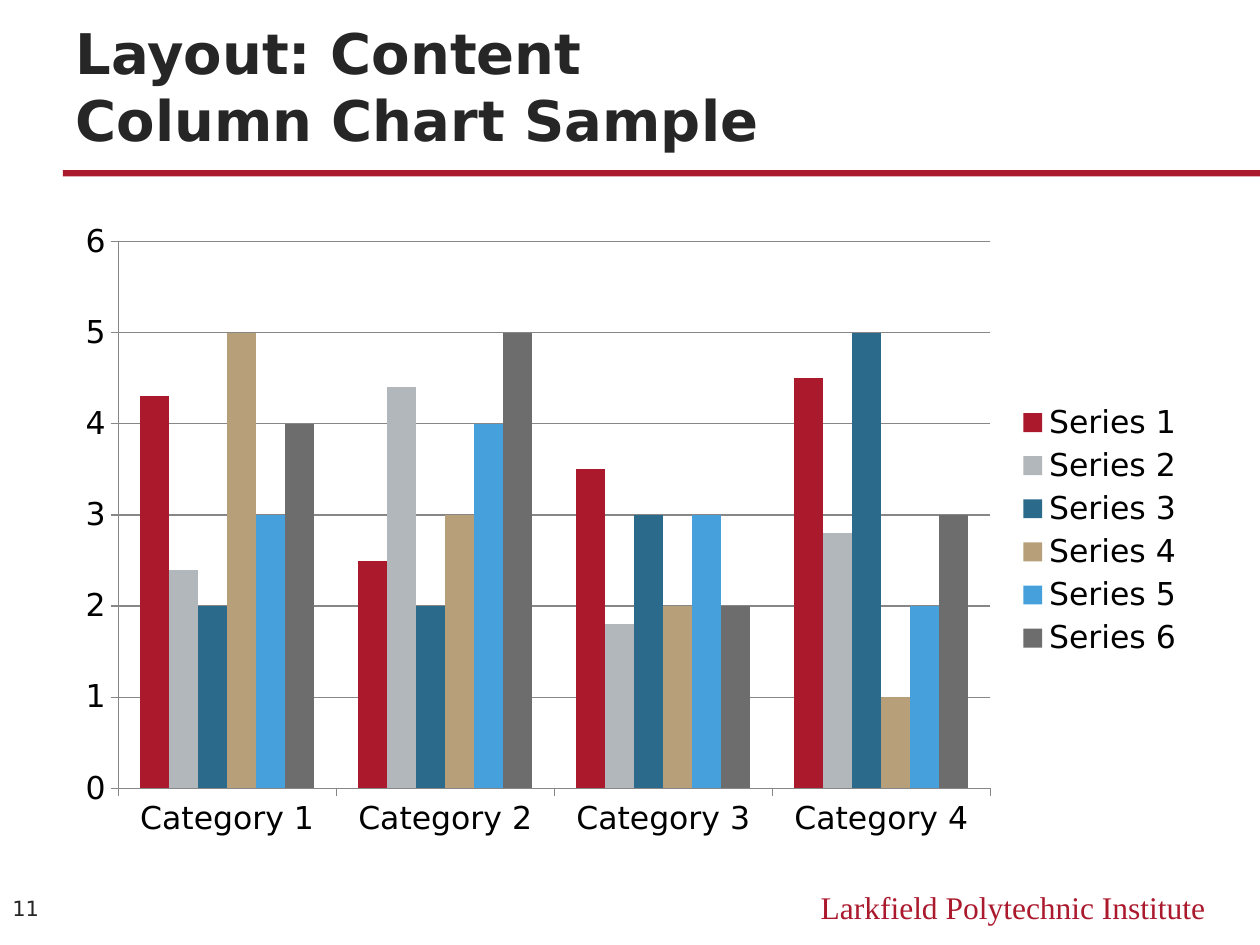
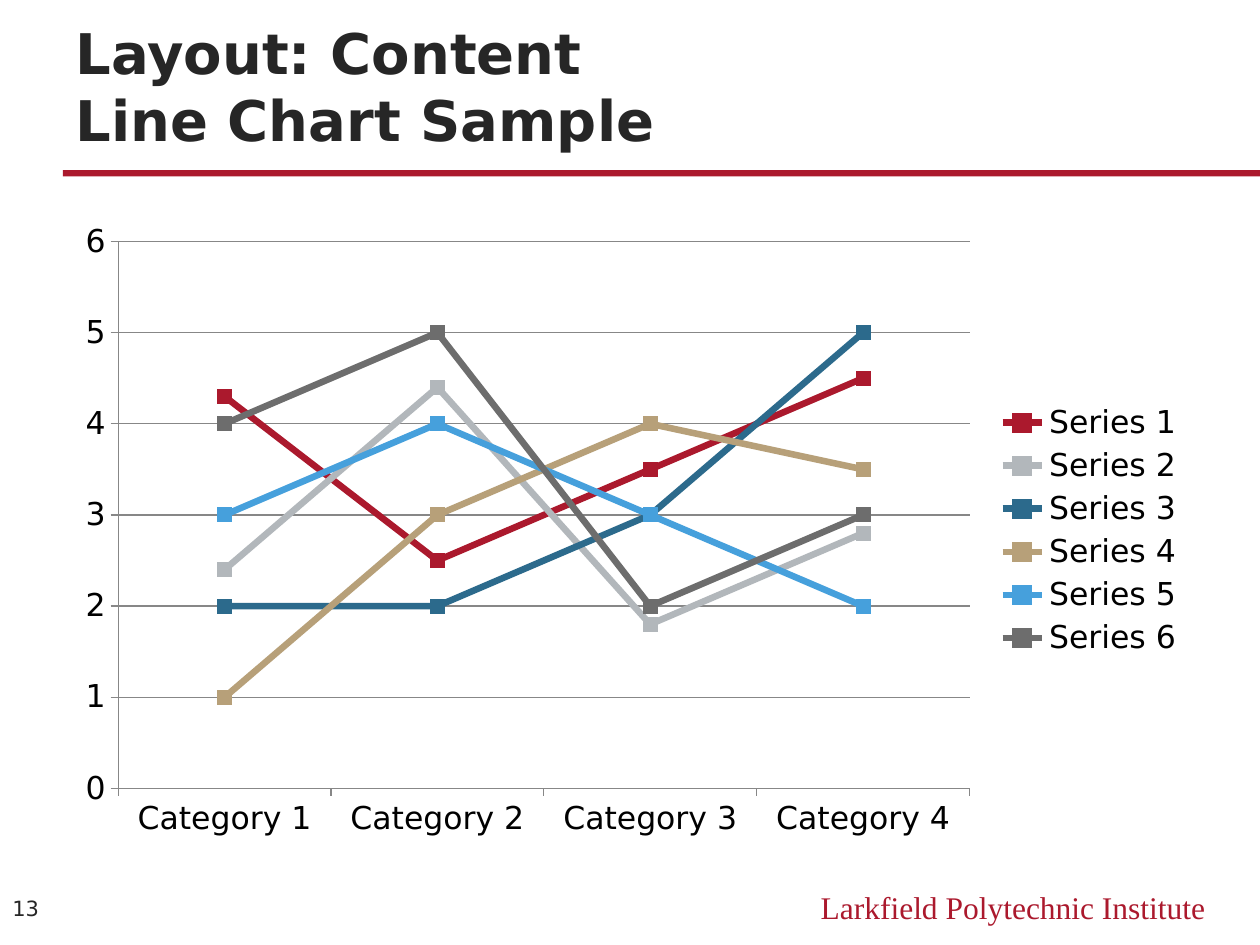
"""Build two chart sample slides that share a title style, a rule and a footer."""
import pptx
import pptx.chart.data
import pptx.dml.color
import pptx.enum.chart
import pptx.enum.shapes
import pptx.enum.text
import pptx.util

Pt = pptx.util.Pt
RGBColor = pptx.dml.color.RGBColor
ChartType = pptx.enum.chart.XL_CHART_TYPE
Align = pptx.enum.text.PP_ALIGN
Anchor = pptx.enum.text.MSO_ANCHOR
AutoSize = pptx.enum.text.MSO_AUTO_SIZE

CRIMSON = RGBColor(0xAB, 0x19, 0x2D)
SILVER = RGBColor(0xB2, 0xB7, 0xBB)
TEAL = RGBColor(0x2C, 0x6A, 0x8C)
TAN = RGBColor(0xB7, 0xA0, 0x79)
SKY = RGBColor(0x46, 0xA0, 0xDC)
SLATE = RGBColor(0x6D, 0x6D, 0x6D)
INK = RGBColor(0x26, 0x26, 0x26)
BLACK = RGBColor(0, 0, 0)
GRID_GRAY = RGBColor(0x87, 0x87, 0x87)
SERIES_COLORS = (CRIMSON, SILVER, TEAL, TAN, SKY, SLATE)

SANS = "DejaVu Sans"
SERIF = "Times New Roman"
INSTITUTE = "Larkfield Polytechnic Institute"

CATEGORIES = [f"Category {n}" for n in range(1, 5)]
COLUMN_VALUES = [
    (4.3, 2.5, 3.5, 4.5),
    (2.4, 4.4, 1.8, 2.8),
    (2, 2, 3, 5),
    (5, 3, 2, 1),
    (3, 4, 3, 2),
    (4, 5, 2, 3),
]
LINE_VALUES = COLUMN_VALUES[:3] + [(1, 3, 4, 3.5)] + COLUMN_VALUES[4:]


def write(shape, text, size=18, font=SANS, color=INK, bold=False,
          align=Align.LEFT, anchor=Anchor.TOP, auto_size=AutoSize.NONE):
    """Put formatted text into a shape."""
    frame = shape.text_frame
    frame.word_wrap = True
    frame.auto_size = auto_size
    frame.vertical_anchor = anchor
    paragraph = frame.paragraphs[0]
    paragraph.text = text
    paragraph.alignment = align
    for run in paragraph.runs:
        run.font.size = Pt(size)
        run.font.name = font
        run.font.bold = bold
        run.font.color.rgb = color


class ChartDeck:
    """Hold the presentation, its style and the current slide."""

    def __init__(self):
        """Start an empty 10 by 7.5 inch presentation."""
        self.presentation = pptx.Presentation()
        self.presentation.slide_width = Pt(720)
        self.presentation.slide_height = Pt(540)
        self.slide = None

    def start_slide(self, heading, number):
        """Add a slide with its title, rule, footer and page number."""
        layout = self.presentation.slide_layouts.get_by_name("Title Only")
        self.slide = self.presentation.slides.add_slide(layout)
        self.rule(36, 97.2, 684, 3.6)
        self.label(INSTITUTE, 432, 504, 264, 28.8, font=SERIF, color=CRIMSON,
                   align=Align.RIGHT, auto_size=AutoSize.SHAPE_TO_FIT_TEXT)
        self.title(heading)
        self.label(str(number), 0, 503.3, 36, 31, size=12, anchor=Anchor.MIDDLE)

    def title(self, heading):
        """Place and format the title placeholder."""
        title = self.slide.shapes.title
        title.left, title.top = Pt(36), Pt(27.4)
        title.width, title.height = Pt(648), Pt(63.4)
        write(title, heading, size=32, bold=True, anchor=Anchor.BOTTOM)

    def rule(self, left, top, width, height):
        """Draw a solid band."""
        band = self.slide.shapes.add_shape(
            pptx.enum.shapes.MSO_SHAPE.RECTANGLE,
            Pt(left), Pt(top), Pt(width), Pt(height))
        band.shadow.inherit = False
        band.fill.solid()
        band.fill.fore_color.rgb = CRIMSON
        band.line.fill.background()

    def label(self, text, left, top, width, height, **text_format):
        """Add a text box."""
        box = self.slide.shapes.add_textbox(
            Pt(left), Pt(top), Pt(width), Pt(height))
        write(box, text, **text_format)

    def chart(self, chart_type, value_rows):
        """Add a chart of six series with axes and a legend on the right."""
        data = pptx.chart.data.CategoryChartData()
        data.categories = CATEGORIES
        for position, values in enumerate(value_rows, start=1):
            data.add_series(f"Series {position}", values)
        chart = self.slide.shapes.add_chart(
            chart_type, Pt(36), Pt(120.2), Pt(648), Pt(365.8), data).chart
        chart.has_title = False
        chart.font.size = Pt(18)
        chart.font.name = SANS
        chart.font.color.rgb = BLACK
        chart.has_legend = True
        chart.legend.position = pptx.enum.chart.XL_LEGEND_POSITION.RIGHT
        chart.legend.include_in_layout = False
        self.style_axes(chart)
        plot = chart.plots[0]
        plot.vary_by_categories = False
        if chart_type == ChartType.COLUMN_CLUSTERED:
            plot.gap_width = 150
            plot.overlap = 0
            style_series = self.style_column
        else:
            style_series = self.style_line
        for series, color in zip(plot.series, SERIES_COLORS):
            style_series(series, color)

    def style_axes(self, chart):
        """Format both axes and the gridlines."""
        scale = chart.value_axis
        scale.minimum_scale, scale.maximum_scale, scale.major_unit = 0, 6, 1
        scale.has_major_gridlines = True
        for axis in (scale, chart.category_axis):
            axis.major_tick_mark = pptx.enum.chart.XL_TICK_MARK.OUTSIDE
            axis.minor_tick_mark = pptx.enum.chart.XL_TICK_MARK.NONE
        for part in (scale, chart.category_axis, scale.major_gridlines):
            part.format.line.color.rgb = GRID_GRAY
            part.format.line.width = Pt(0.75)

    def style_column(self, series, color):
        """Fill the columns of one series."""
        series.format.fill.solid()
        series.format.fill.fore_color.rgb = color

    def style_line(self, series, color):
        """Color the line and square markers of one series."""
        series.smooth = False
        series.format.line.color.rgb = color
        series.format.line.width = Pt(3.75)
        marker = series.marker
        marker.style = pptx.enum.chart.XL_MARKER_STYLE.SQUARE
        marker.size = 8
        marker.format.fill.solid()
        marker.format.fill.fore_color.rgb = color
        marker.format.line.color.rgb = color


def main():
    """Build and save both slides."""
    deck = ChartDeck()
    deck.start_slide("Layout: Content\vColumn Chart Sample", 11)
    deck.chart(ChartType.COLUMN_CLUSTERED, COLUMN_VALUES)
    deck.start_slide("Layout: Content\vLine Chart Sample", 13)
    deck.chart(ChartType.LINE_MARKERS, LINE_VALUES)
    deck.presentation.save("out.pptx")


if __name__ == "__main__":
    main()
